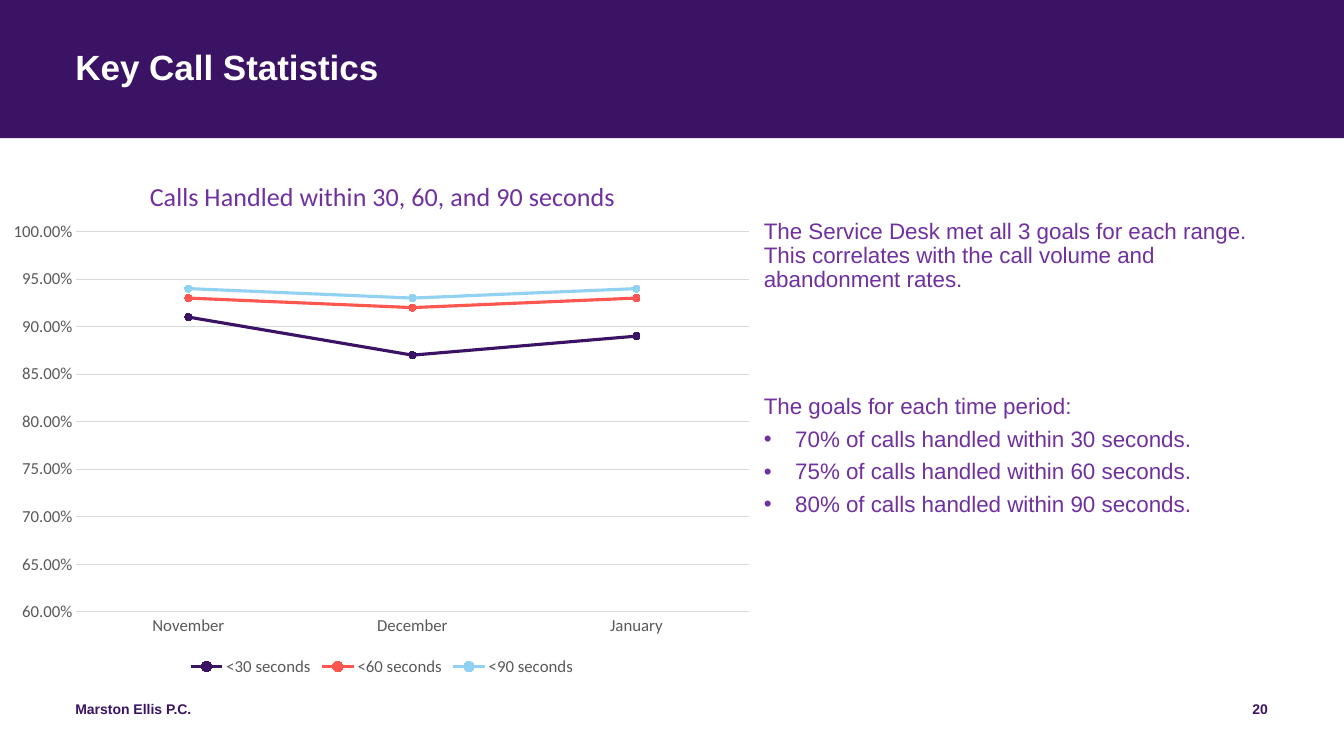
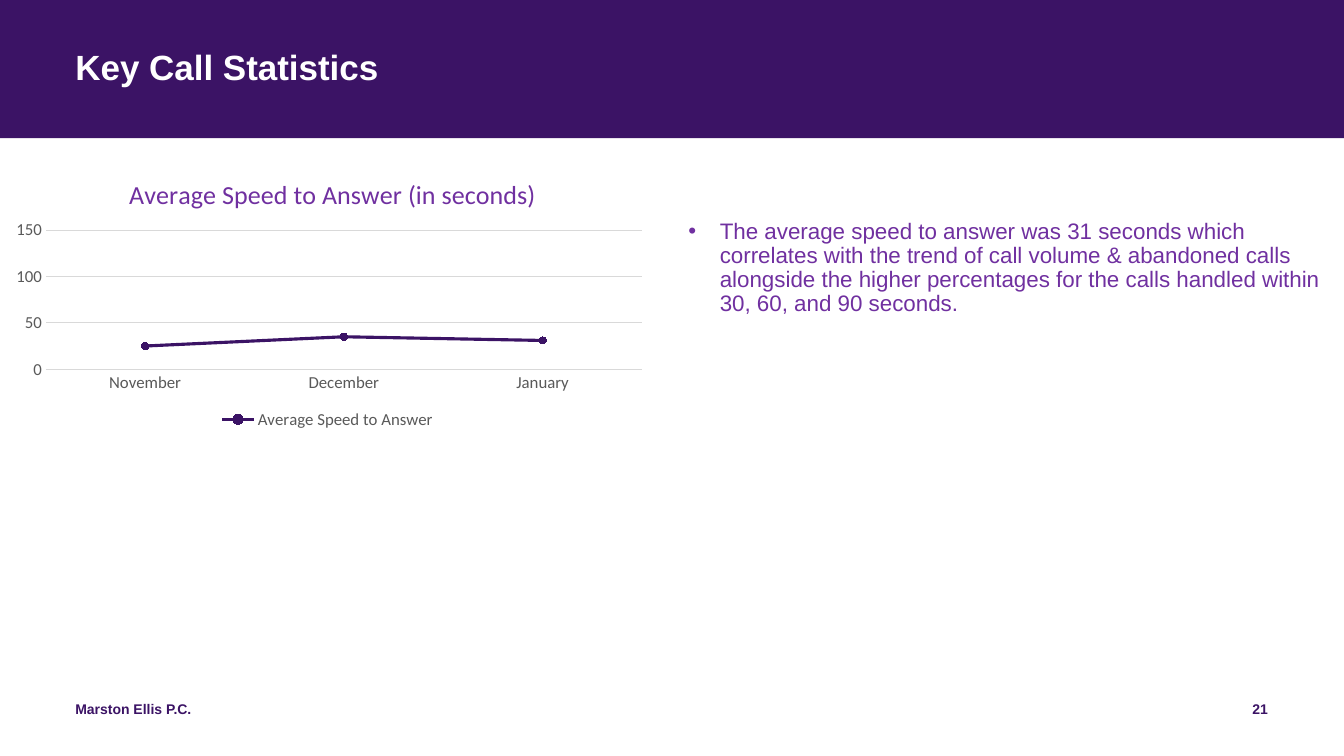
from lxml.etree import SubElement
from pptx import Presentation
from pptx.chart.data import CategoryChartData
from pptx.dml.color import RGBColor
from pptx.enum.chart import XL_CHART_TYPE, XL_LEGEND_POSITION, XL_MARKER_STYLE, XL_TICK_MARK
from pptx.enum.shapes import MSO_SHAPE
from pptx.enum.text import PP_ALIGN
from pptx.oxml import parse_xml
from pptx.oxml.ns import nsdecls, qn
from pptx.util import Cm, Pt

# Shared look
color = RGBColor.from_string
INDIGO, PURPLE, GRAY, RULE, WHITE = "3B1365", "7030A0", "595959", "D9D9D9", "FFFFFF"
SERIES_COLORS = [INDIGO, "FF5750", "91D2F2"]
MONTHS = ["November", "December", "January"]
TITLE = "Key Call Statistics"
COMPANY = "Marston Ellis P.C."

# Each text line: wording, bulleted, space before in points
# Layouts are fractions of the chart: left, top, then width, height
pages = [
    {
        "number": "20",
        "text_at": (19.25, 5.54, 12.7, 11.6),
        "lines": [
            ("The Service Desk met all 3 goals for each range. This correlates "
             "with the call volume and abandonment rates.", False, 0),
            ("The goals for each time period:", False, 67.7),
            ("70% of calls handled within 30 seconds.", True, 0),
            ("75% of calls handled within 60 seconds.", True, 0),
            ("80% of calls handled within 90 seconds.", True, 0),
        ],
        "chart_at": (0, 3.84, 19.25, 13.31),
        "chart_title": "Calls Handled within 30, 60, and 90 seconds",
        "title_layout": (0.19, 0.04),
        "plot_layout": (0.1, 0.15, 0.88, 0.72),
        "scale": (0.6, 1, 0.05),
        "format": "0.00%",
        "series": {
            "<30 seconds": [0.91, 0.87, 0.89],
            "<60 seconds": [0.93, 0.92, 0.93],
            "<90 seconds": [0.94, 0.93, 0.94],
        },
    },
    {
        "number": "21",
        "text_at": (17.35, 5.54, 16.51, 5.38),
        "lines": [
            ("The average speed to answer was 31 seconds which correlates with the "
             "trend of call volume & abandoned calls alongside the higher percentages "
             "for the calls handled within 30, 60, and 90 seconds.", True, 0),
        ],
        "chart_at": (0, 3.91, 16.51, 7.01),
        "chart_title": "Average Speed to Answer (in seconds)",
        "title_layout": (0.19, 0.06),
        "plot_layout": (0.07, 0.27, 0.91, 0.5),
        "scale": (0, 150, 50),
        "format": "General",
        "series": {"Average Speed to Answer": [25, 35, 31]},
    },
]


def add_text(page, place, lines, size, hex_color, bold=False, align=PP_ALIGN.LEFT, spacing=0.9):
    box = page.shapes.add_textbox(*map(Cm, place))
    frame = box.text_frame
    frame.word_wrap = True
    frame.margin_left = frame.margin_right = frame.margin_top = frame.margin_bottom = 0
    for index, (wording, bulleted, before) in enumerate(lines):
        para = frame.add_paragraph() if index else frame.paragraphs[0]
        para.alignment = align
        para.line_spacing = spacing
        para.space_before = Pt(before)
        para.space_after = Pt(6)
        if bulleted:
            properties = para._p.get_or_add_pPr()
            properties.set("marL", str(Cm(0.79)))
            properties.set("indent", str(-Cm(0.79)))
            SubElement(properties, qn("a:buFont"), typeface="Arial")
            SubElement(properties, qn("a:buChar"), char="•")
        span = para.add_run()
        span.text = wording
        span.font.name = "Arial"
        span.font.size = Pt(size)
        span.font.bold = bold
        span.font.color.rgb = color(hex_color)


def set_layout(element, position, values, target=None):
    for old in element.findall(qn("c:layout")):
        element.remove(old)
    layout = parse_xml(f"<c:layout {nsdecls('c')}><c:manualLayout/></c:layout>")
    manual = layout[0]
    if target:
        SubElement(manual, qn("c:layoutTarget"), val=target)
    for name in ("xMode", "yMode"):
        SubElement(manual, qn(f"c:{name}"), val="edge")
    for name, value in zip("xywh", values):
        SubElement(manual, qn(f"c:{name}"), val=str(value))
    element.insert(position, layout)


deck = Presentation()
deck.slide_width, deck.slide_height = Cm(33.87), Cm(19.05)

for content in pages:
    page = deck.slides.add_slide(deck.slide_layouts[6])

    # Title band and footer
    band = page.shapes.add_shape(MSO_SHAPE.RECTANGLE, 0, 0, deck.slide_width, Cm(3.48))
    band.shadow.inherit = False
    band.fill.solid()
    band.fill.fore_color.rgb = color(INDIGO)
    band.line.fill.background()
    add_text(page, (1.9, 1.27, 30.05, 2.06), [(TITLE, False, 0)], 25, WHITE, bold=True)
    add_text(page, (1.9, 17.65, 11.43, 1.02), [(COMPANY, False, 0)], 10, INDIGO,
             bold=True, spacing=1.0)
    add_text(page, (24.33, 17.65, 7.62, 1.02), [(content["number"], False, 0)], 10, INDIGO,
             bold=True, align=PP_ALIGN.RIGHT, spacing=1.0)

    # Commentary
    add_text(page, content["text_at"], content["lines"], 16, PURPLE)

    # Line chart
    data = CategoryChartData(number_format=content["format"])
    data.categories = MONTHS
    for name, values in content["series"].items():
        data.add_series(name, values)
    chart = page.shapes.add_chart(
        XL_CHART_TYPE.LINE_MARKERS, *map(Cm, content["chart_at"]), data).chart
    chart.font.name = "Calibri"
    chart.font.size = Pt(12)
    chart.font.color.rgb = color(GRAY)

    # Chart title and legend
    chart.has_title = True
    span = chart.chart_title.text_frame.paragraphs[0].add_run()
    span.text = content["chart_title"]
    span.font.name = "Calibri"
    span.font.size = Pt(18.6)
    span.font.bold = False
    span.font.color.rgb = color(PURPLE)
    chart.has_legend = True
    chart.legend.position = XL_LEGEND_POSITION.BOTTOM
    chart.legend.include_in_layout = False
    set_layout(chart.chart_title._element, 1, content["title_layout"])
    plot_area = chart._chartSpace.find(f".//{qn('c:plotArea')}")
    set_layout(plot_area, 0, content["plot_layout"], "inner")

    # Axes
    months, scale = chart.category_axis, chart.value_axis
    for axis in (months, scale):
        axis.major_tick_mark = axis.minor_tick_mark = XL_TICK_MARK.NONE
    scale.minimum_scale, scale.maximum_scale, scale.major_unit = content["scale"]
    scale.tick_labels.number_format = content["format"]
    scale.tick_labels.number_format_is_linked = False
    scale.format.line.fill.background()
    for line in (months.format.line, scale.major_gridlines.format.line):
        line.color.rgb = color(RULE)
        line.width = Pt(0.75)

    # Series
    for series, hex_color in zip(chart.plots[0].series, SERIES_COLORS):
        series.smooth = False
        series.format.line.color.rgb = color(hex_color)
        series.format.line.width = Pt(2.25)
        marker = series.marker
        marker.style = XL_MARKER_STYLE.CIRCLE
        marker.size = 5
        marker.format.fill.solid()
        marker.format.fill.fore_color.rgb = color(hex_color)
        marker.format.line.color.rgb = color(hex_color)

deck.save("out.pptx")
